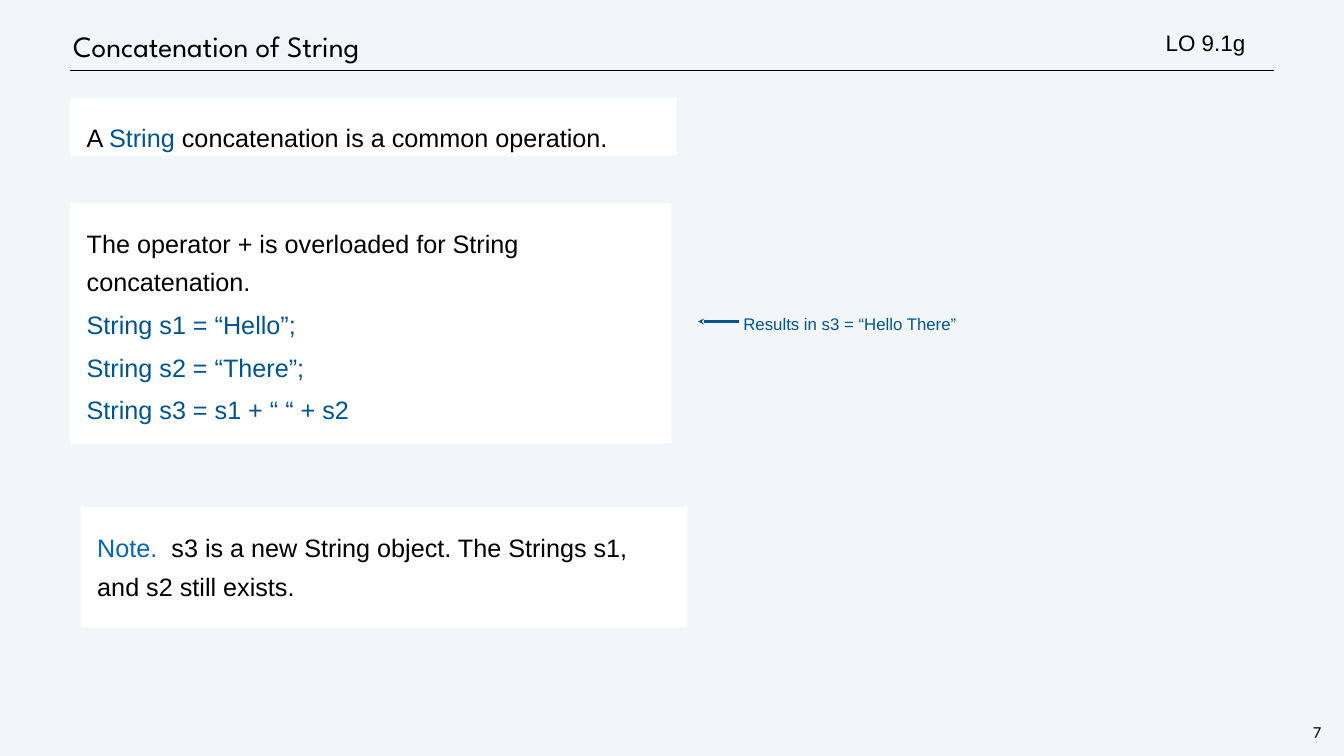
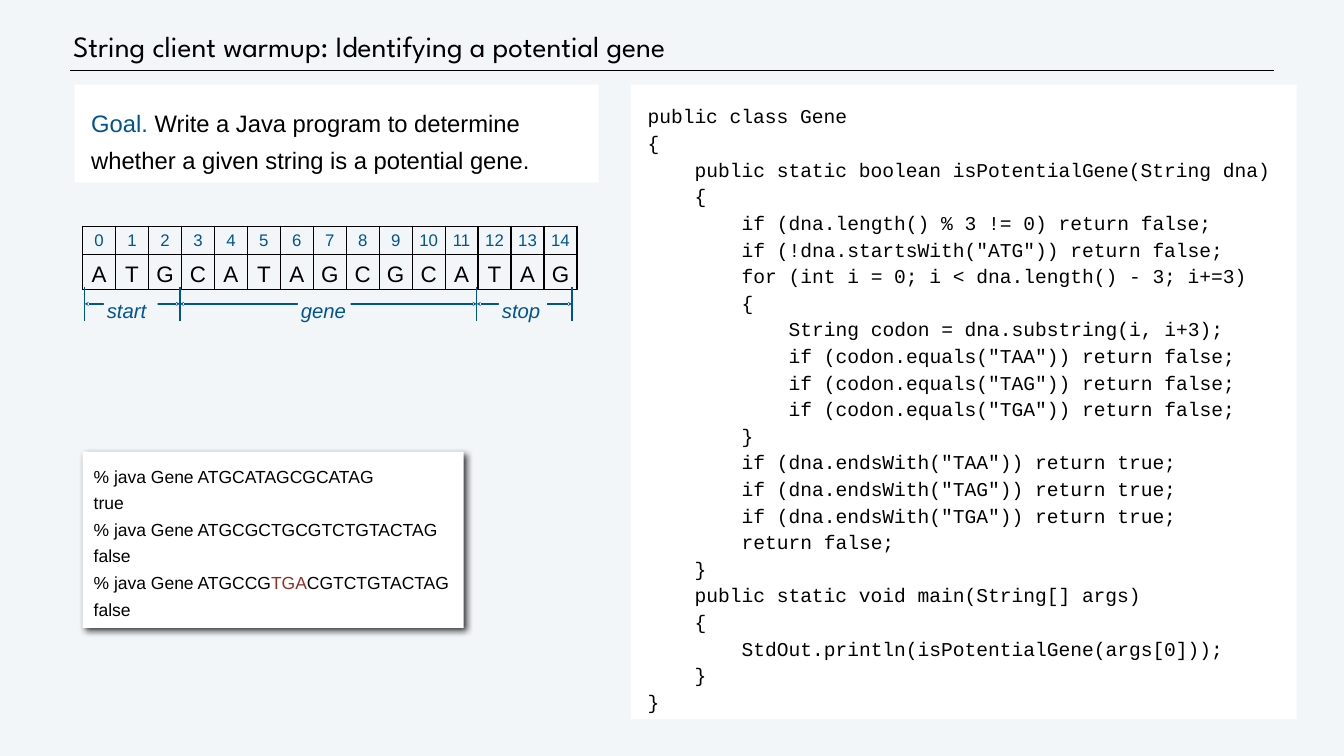
from dataclasses import dataclass

from lxml.etree import SubElement
from pptx import Presentation
from pptx.dml.color import RGBColor
from pptx.enum.shapes import MSO_CONNECTOR, MSO_SHAPE
from pptx.enum.text import MSO_ANCHOR, MSO_AUTO_SIZE, PP_ALIGN
from pptx.oxml.ns import qn
from pptx.util import Inches, Pt


@dataclass(frozen=True)
class Theme:
    back: str = "F3F6F9"
    ink: str = "000000"
    paper: str = "FFFFFF"
    blue: str = "005493"
    note: str = "0365C0"
    red: str = "8D3124"
    sans: str = "Arial"
    mono: str = "Courier New"
    head: str = "League Spartan"
    plain: str = "Calibri"
    title: int = 42
    body: int = 36
    goal: int = 34
    letter: int = 32
    label: int = 29
    code: int = 28
    shell: int = 25
    small: int = 24


T = Theme()
COLS, ROWS = 26.67, 15  # grid of one-inch cells
LEFT = 1.39
DEPTH = 4 * 0.6 * T.code  # width in points of one code indent

BASES = "ATGCATAGCGCATAG"
EDGES = (1.68, 3.57, 9.46, 11.35)
PARTS = (("start", 2.06, 1.07), ("gene", 5.91, 1.05), ("stop", 9.9, 0.95))

CODE = """\
public class Gene
{
    public static boolean isPotentialGene(String dna)
    {
        if (dna.length() % 3 != 0) return false;
        if (!dna.startsWith("ATG")) return false;
        for (int i = 0; i < dna.length() - 3; i+=3)
        {
            String codon = dna.substring(i, i+3);
            if (codon.equals("TAA")) return false;
            if (codon.equals("TAG")) return false;
            if (codon.equals("TGA")) return false;
        }
        if (dna.endsWith("TAA")) return true;
        if (dna.endsWith("TAG")) return true;
        if (dna.endsWith("TGA")) return true;
        return false;
    }
    public static void main(String[] args)
    {
        StdOut.println(isPotentialGene(args[0]));
    }
}"""

FIT = {"auto_size": MSO_AUTO_SIZE.SHAPE_TO_FIT_TEXT}
HUG = FIT | {"word_wrap": False}
MID = {"vertical_anchor": MSO_ANCHOR.MIDDLE}
BODY = {"line_spacing": Pt(55), "space_before": Pt(6)}


def grid(*cells):
    return [Inches(n) for n in cells]


def rgb(code):
    return RGBColor.from_string(code)


def apply(item, form):
    for key, value in form.items():
        setattr(item, key, value)


def inset(pad):
    sides = ("left", "top", "right", "bottom")
    return {f"margin_{side}": Inches(pad) for side in sides}


def write(frame, paras, size, color=T.ink, font=T.sans, italic=False, **form):
    """Fill a frame; a paragraph is a string or a list of (text, colour)."""
    look = {"size": Pt(size), "name": font, "italic": italic, "bold": False}
    for n, para in enumerate(paras):
        line = frame.add_paragraph() if n else frame.paragraphs[0]
        apply(line, {"alignment": PP_ALIGN.LEFT} | form)
        runs = [(para, color)] if isinstance(para, str) else para
        for words, tint in runs:
            run = line.add_run()
            run.text = words
            apply(run.font, look)
            run.font.color.rgb = rgb(tint)


def fill_in(shape, paras, size, pad=0.06, hold=None, **form):
    """Set a shape's text frame (hold: changed frame values) and write."""
    base = {"word_wrap": True, "auto_size": MSO_AUTO_SIZE.NONE,
            "vertical_anchor": MSO_ANCHOR.TOP}
    apply(shape.text_frame, base | inset(pad) | (hold or {}))
    write(shape.text_frame, paras, size, **form)


def text(shapes, box, paras, size, **form):
    fill_in(shapes.add_textbox(*grid(*box)), paras, size, **form)


def panel(shapes, box, paras, size, fill=T.paper, pad=0.33, **form):
    shape = shapes.add_shape(MSO_SHAPE.RECTANGLE, *grid(*box))
    shape.shadow.inherit = False
    shape.fill.solid()
    shape.fill.fore_color.rgb = rgb(fill)
    shape.line.fill.background()
    fill_in(shape, paras, size, pad=pad, **form)
    return shape


def cast(shape):
    """Give a shape a soft shadow down to the right."""
    effects = shape.element.spPr.find(qn("a:effectLst"))
    shade = SubElement(effects, qn("a:outerShdw"), blurRad=str(Pt(10)),
                       dist=str(Pt(6)), dir=str(45 * 60000), rotWithShape="0")
    tint = SubElement(shade, qn("a:srgbClr"), val=T.ink)
    SubElement(tint, qn("a:alpha"), val="75000")


def rule(shapes, ends, width, color=T.blue, tips=()):
    line = shapes.add_connector(MSO_CONNECTOR.STRAIGHT, *grid(*ends))
    line.line.color.rgb = rgb(color)
    line.line.width = Pt(width)
    for tip in tips:
        SubElement(line.get_or_add_ln(), qn(f"a:{tip}End"), type="stealth")
    SubElement(line.element.spPr, qn("a:effectLst"))


def page(deck, title):
    """Add a slide with its title and the line below it."""
    slide = deck.slides.add_slide(deck.slide_layouts[5])
    rule(slide.shapes, (LEFT, 1.4, 25.28, 1.4), 1, T.ink)
    head = slide.shapes.title
    places = grid(LEFT, 0.42, 22.62, 0.99)
    apply(head, dict(zip(("left", "top", "width", "height"), places)))
    fill_in(head, [title], T.title, font=T.head, hold=MID,
            line_spacing=Pt(50), space_before=Pt(3))
    return slide.shapes


def edge(cell):
    """Draw all four borders of a table cell."""
    props = cell._tc.get_or_add_tcPr()
    for n, side in enumerate("LRTB"):
        line = props.makeelement(qn(f"a:ln{side}"), {"w": str(Pt(2))})
        fill = SubElement(line, qn("a:solidFill"))
        SubElement(fill, qn("a:srgbClr"), val=T.ink)
        props.insert(n, line)


def strand(shapes):
    """Table of base positions above the bases."""
    size = len(BASES)
    table = shapes.add_table(2, size, *grid(1.64, 4.49, 9.81, 1.12)).table
    apply(table, {"first_row": False, "horz_banding": False})
    for col in table.columns:
        col.width = Inches(9.81 / size)
    looks = (
        (range(size), 0.03, {"size": T.small, "color": T.blue}),
        (BASES, 0.04, {"size": T.letter, "line_spacing": Pt(44)}),
    )
    for row, (values, pad, look) in enumerate(looks):
        table.rows[row].height = Inches(0.56)
        for col, value in enumerate(values):
            cell = table.cell(row, col)
            cell.fill.background()
            apply(cell, MID | inset(pad))
            write(cell.text_frame, [str(value)], alignment=PP_ALIGN.CENTER,
                  **look)
            edge(cell)


def spans(shapes):
    """Mark the start, gene and stop parts below the strand."""
    for x in EDGES:
        rule(shapes, (x, 5.69, x, 6.37), 2)
    for (name, x, width), a, b in zip(PARTS, EDGES, EDGES[1:]):
        part = shapes.add_group_shape().shapes
        rule(part, (a, 6.03, b, 6.03), 2, tips=("head", "tail"))
        panel(part, (x, 5.79, width, 0.58), [name], T.label, T.back, 0.06,
              color=T.blue, italic=True, hold=HUG, line_spacing=Pt(40))


def listing(shapes, box):
    """Show the code, with each line's depth as a paragraph indent."""
    lines = CODE.splitlines()
    shape = panel(shapes, box, [line.strip() for line in lines], T.code,
                  font=T.mono, line_spacing=Pt(38))
    for line, para in zip(lines, shape.text_frame.paragraphs):
        depth = (len(line) - len(line.lstrip())) // 4
        props = para._p.get_or_add_pPr()
        props.set("marL", str(Pt(depth * DEPTH)))
        props.set("indent", "0")


def concat(deck):
    shapes = page(deck, "Concatenation of String")
    text(shapes, (25.92, 14.29, 0.43, 0.47), ["7"], T.small, font=T.plain,
         pad=0.04, hold=HUG, alignment=PP_ALIGN.CENTER, line_spacing=Pt(28))
    panel(shapes, (LEFT, 1.94, 12.04, 1.15), [[
        ("A ", T.ink), ("String ", T.blue),
        ("concatenation is a common operation.", T.ink)]], T.body, **BODY)
    panel(shapes, (LEFT, 4.03, 11.94, 4.77), [
        [("The operator + is overloaded for String concatenation.", T.ink)],
        "String s1 = “Hello”;",
        "String s2 = “There”;",
        "String s3 = s1 + “ “ + s2"], T.body, color=T.blue, **BODY)
    text(shapes, (23.07, 0.51, 2.99, 0.65), ["LO 9.1g"], T.letter,
         hold=FIT | MID)
    text(shapes, (14.64, 6.1, 4.51, 0.62), ["Results in s3 = “Hello There”"],
         T.small, color=T.blue, pad=0.11, hold=HUG, line_spacing=Pt(30),
         space_before=Pt(1))
    rule(shapes, (13.85, 6.38, 14.66, 6.38), 3, tips=("head",))
    panel(shapes, (1.6, 10.07, 12.04, 2.38), [[
        ("Note.  ", T.note),
        ("s3 is a new String object. The Strings s1, and s2 still exists.",
         T.ink)]], T.body, **BODY)


def gene(deck):
    shapes = page(deck, "String client warmup: Identifying a potential gene")
    strand(shapes)
    spans(shapes)
    panel(shapes, (1.48, 1.68, 10.4, 1.94), [[
        ("Goal. ", T.blue),
        ("Write a Java program to determine whether a given string is "
         "a potential gene.", T.ink)]],
        T.goal, line_spacing=Pt(52), space_before=Pt(6))
    listing(shapes, (12.52, 1.68, 13.21, 12.59))
    cast(panel(shapes, (1.64, 8.96, 7.56, 3.5), [
        "% java Gene ATGCATAGCGCATAG", "true",
        "% java Gene ATGCGCTGCGTCTGTACTAG", "false",
        [("% java Gene ATGCCG", T.ink), ("TGA", T.red),
         ("CGTCTGTACTAG", T.ink)], "false"],
        T.shell, pad=0.22, hold=FIT | MID, line_spacing=Pt(38)))


def main():
    deck = Presentation()
    deck.slide_width, deck.slide_height = grid(COLS, ROWS)
    fill = deck.slide_master.background.fill
    fill.solid()
    fill.fore_color.rgb = rgb(T.back)
    concat(deck)
    gene(deck)
    deck.save("out.pptx")


if __name__ == "__main__":
    main()
